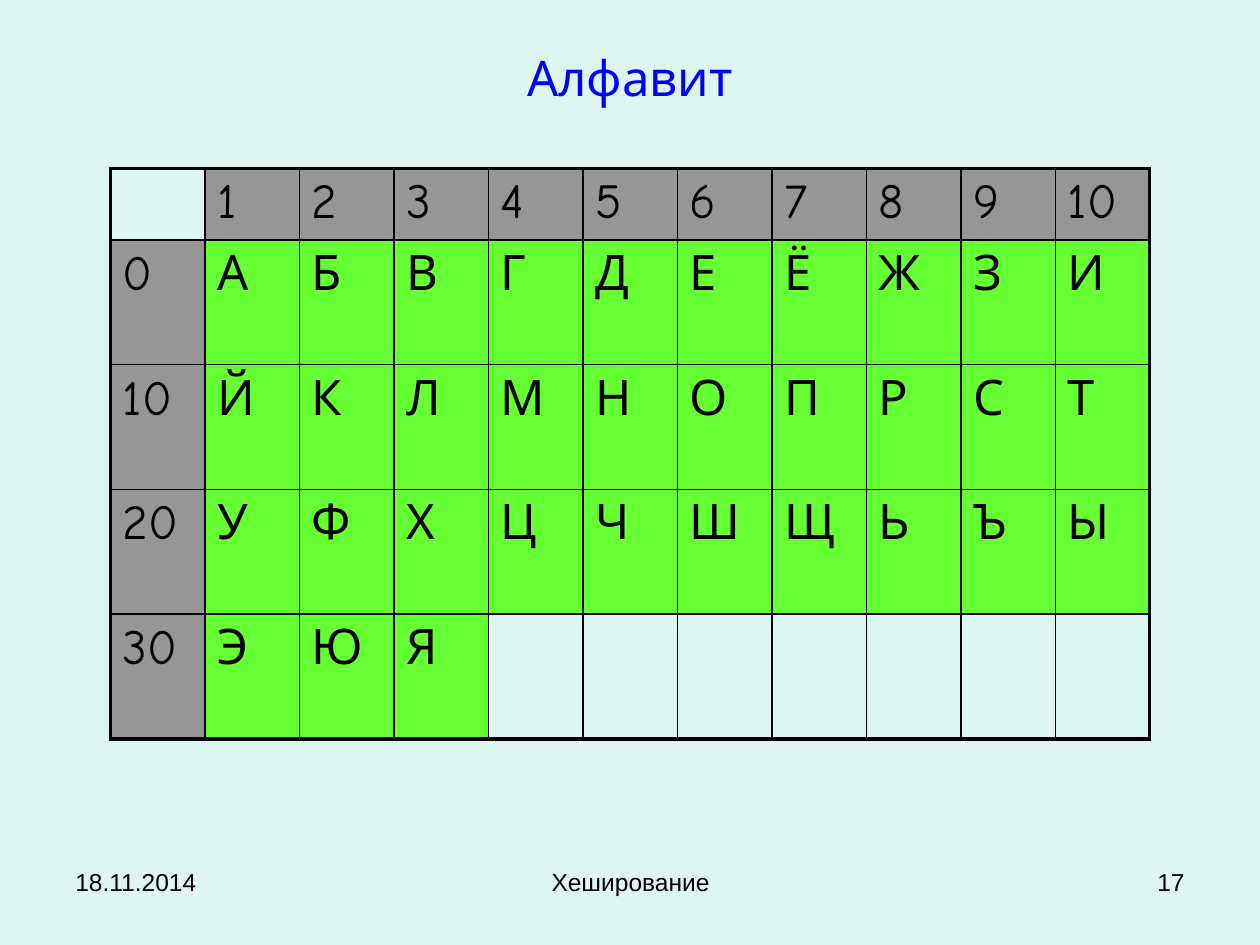
from lxml import etree
from pptx import Presentation
from pptx.dml.color import RGBColor
from pptx.enum.text import MSO_ANCHOR, PP_ALIGN
from pptx.oxml.ns import qn
from pptx.util import Inches, Pt

LEFT, CENTER, RIGHT = PP_ALIGN.LEFT, PP_ALIGN.CENTER, PP_ALIGN.RIGHT
TOP = MSO_ANCHOR.TOP

MINT = RGBColor(0xDE, 0xF6, 0xF1)
BLACK = RGBColor(0x00, 0x00, 0x00)
BLUE = RGBColor(0x00, 0x00, 0xFF)
GRAY = RGBColor(0x96, 0x96, 0x96)
GREEN = RGBColor(0x66, 0xFF, 0x33)

WIDTH, HEIGHT = Inches(10), Inches(7.5)
THICK, THIN = Pt(2.25), Pt(1)
HEADING = {"name": "Comic Neue", "size": Pt(28), "bold": False}
FOOTER = {"name": "Arial", "size": Pt(14), "bold": False}

ALPHABET = "АБВГДЕЁЖЗИЙКЛМНОПРСТУФХЦЧШЩЬЪЫЭЮЯ"
PER_ROW = 10


class SlideBuilder:
    """Holds the style and the current slide; boxes are percentages of its size."""

    def __init__(self, prs, background):
        self.slide = prs.slides.add_slide(prs.slide_layouts[5])
        self.slide.background.fill.solid()
        self.slide.background.fill.fore_color.rgb = background

    def box(self, left, top, width, height):
        return (round(WIDTH * left / 100), round(HEIGHT * top / 100),
                round(WIDTH * width / 100), round(HEIGHT * height / 100))

    def set_text(self, frame, text, style, color=BLACK, align=LEFT):
        frame.word_wrap = True
        frame.vertical_anchor = TOP
        paragraph = frame.paragraphs[0]
        paragraph.alignment = align
        run = paragraph.add_run()
        run.text = text
        for attribute, value in style.items():
            setattr(run.font, attribute, value)
        run.font.color.rgb = color

    def title(self, text, *shares):
        heading = self.slide.shapes.title
        heading.left, heading.top, heading.width, heading.height = self.box(*shares)
        self.set_text(heading.text_frame, text, HEADING, BLUE, CENTER)

    def footer(self, text, align, *shares):
        field = self.slide.shapes.add_textbox(*self.box(*shares))
        self.set_text(field.text_frame, text, FOOTER, align=align)

    def border(self, cell, widths):
        properties = cell._tc.get_or_add_tcPr()
        for side, width in widths.items():
            line = etree.SubElement(properties, qn(f"a:ln{side}"), w=str(width))
            fill = etree.SubElement(line, qn("a:solidFill"))
            etree.SubElement(fill, qn("a:srgbClr"), val=str(BLACK))

    def table(self, rows, row_shares, *shares):
        last_row, last_column = len(rows) - 1, len(rows[0]) - 1
        grid = self.slide.shapes.add_table(
            len(rows), len(rows[0]), *self.box(*shares)).table
        grid.first_row = grid.horz_banding = False
        for row, share in zip(grid.rows, row_shares):
            row.height = round(HEIGHT * share / 100)
        for r, texts in enumerate(rows):
            for c, text in enumerate(texts):
                cell = grid.cell(r, c)
                # Thick outer frame, thin inner lines
                self.border(cell, {
                    "L": THICK if c == 0 else THIN,
                    "R": THICK if c == last_column else THIN,
                    "T": THICK if r == 0 else THIN,
                    "B": THICK if r == last_row else THIN,
                })
                if not text:
                    cell.fill.background()
                    continue
                cell.fill.solid()
                cell.fill.fore_color.rgb = GREEN if r and c else GRAY
                self.set_text(cell.text_frame, text, HEADING)


def main():
    prs = Presentation()
    prs.slide_width, prs.slide_height = WIDTH, HEIGHT
    page = SlideBuilder(prs, MINT)

    # Title
    page.title("Алфавит", 27.9, 4.4, 44.2, 7.7)

    # Letter number = row heading + column heading
    rows = [[""] + [str(n) for n in range(1, PER_ROW + 1)]]
    for start in range(0, len(ALPHABET), PER_ROW):
        letters = list(ALPHABET[start:start + PER_ROW])
        rows.append([str(start)] + letters + [""] * (PER_ROW - len(letters)))
    row_shares = [7.6] + [13.2] * (len(rows) - 1)
    page.table(rows, row_shares, 8.75, 17.8, 82.5, sum(row_shares))

    # Footer
    for text, align, left, width in (
        ("18.11.2014", LEFT, 5, 23.3),
        ("Хеширование", CENTER, 34.2, 31.7),
        ("17", RIGHT, 71.7, 23.3),
    ):
        page.footer(text, align, left, 91.1, width, 6.9)

    prs.save("out.pptx")


if __name__ == "__main__":
    main()
